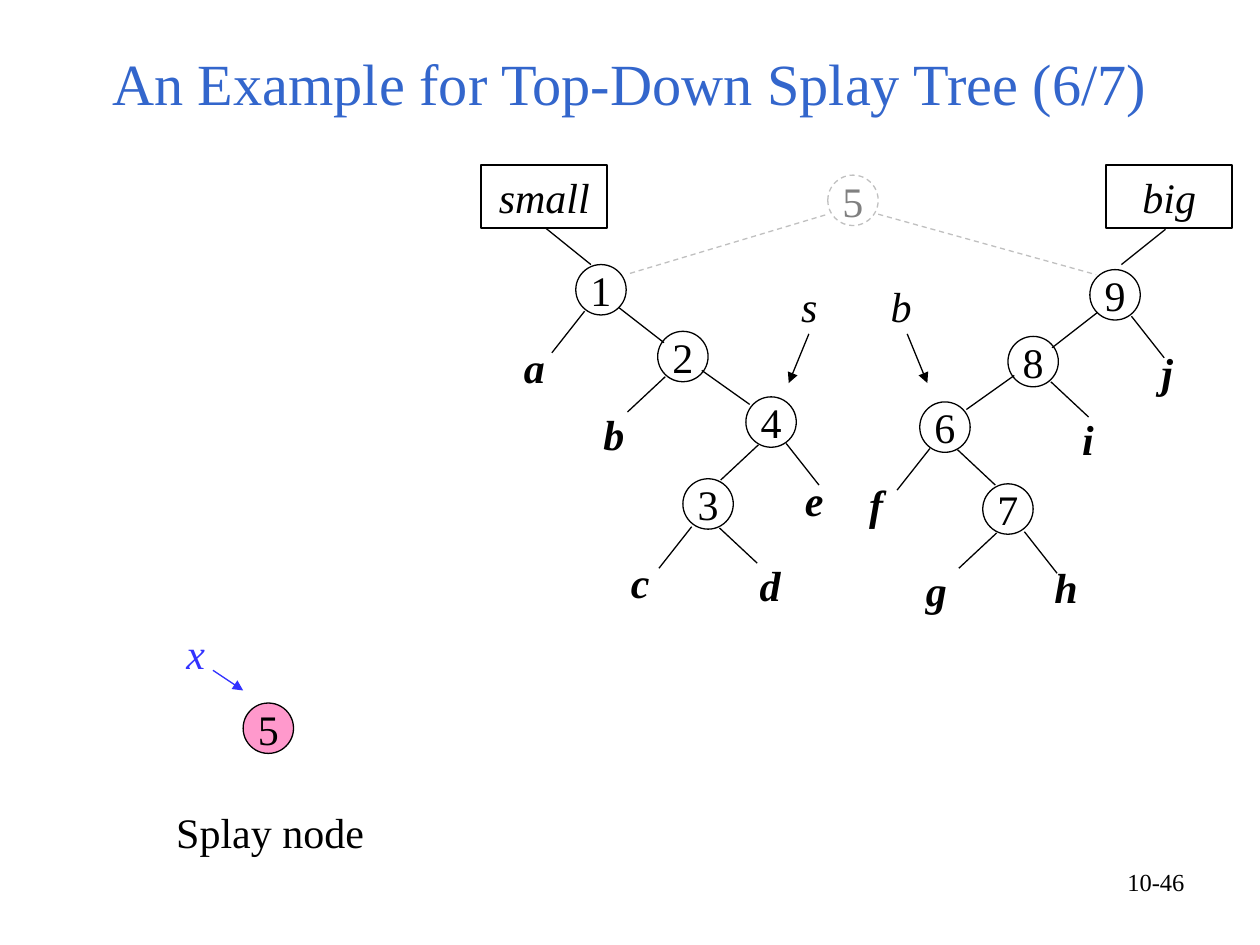
from dataclasses import dataclass

from lxml.etree import SubElement
from pptx import Presentation
from pptx.dml.color import RGBColor
from pptx.enum.dml import MSO_LINE
from pptx.enum.shapes import MSO_CONNECTOR, MSO_SHAPE
from pptx.enum.text import MSO_ANCHOR, PP_ALIGN
from pptx.oxml.ns import qn
from pptx.util import Inches, Pt


@dataclass(frozen=True)
class Theme:
    """Colours, font, type sizes and line widths in points."""
    font: str = "Times New Roman"
    ink: str = "000000"
    paper: str = "FFFFFF"
    title: str = "3366CC"
    pointer: str = "3333FF"
    splay: str = "FF99CC"
    faded_line: str = "C0C0C0"
    faded_text: str = "808080"
    title_size: float = 33.3
    body_size: float = 24
    footer_size: float = 14
    thin: float = 0.74
    frame: float = 0.99


THEME = Theme()
NODE_SIZE = 0.4
LABEL_SIZE = (0.44, 0.5)

TITLE = ("An Example for Top-Down Splay Tree (6/7)", 0.5, 0.3, 9, 0.77)
PAGE_NUMBER = ("10-46", 7.17, 6.83, 2.33, 0.52)

# The big tree is the small tree reflected about a vertical axis, a little lower.
MIRROR_SUM, MIRROR_DROP = 13.62, 0.04

# Key in small tree, key in big tree, centre in small tree
NODES = [
    ("1", "9", 4.77, 2.3),
    ("2", "8", 5.42, 2.83),
    ("4", "6", 6.12, 3.35),
    ("3", "7", 5.62, 4),
]
# Subtree in small tree, subtree in big tree, label centre in small tree
SUBTREES = [
    ("a", "j", 4.28, 2.91),
    ("b", "i", 4.91, 3.44),
    ("c", "h", 5.13, 4.62),
    ("d", "g", 6.15, 4.64),
]
INNER_SUBTREES = [("e", 6.51, 3.97), ("f", 7.02, 4)]
# Start and end in small tree
EDGES = [
    (4.91, 2.44, 5.27, 2.72),
    (5.57, 2.94, 5.95, 3.21),
    (4.64, 2.47, 4.38, 2.8),
    (5.28, 2.99, 4.98, 3.27),
    (6.02, 3.53, 5.72, 3.81),
    (6.24, 3.52, 6.5, 3.85),
    (5.71, 4.19, 6.01, 4.47),
    (5.49, 4.18, 5.23, 4.51),
]
# Name, left of frame, line down to the root
TREE_FRAMES = [
    ("small", 3.82, (4.33, 1.81, 4.69, 2.1)),
    ("big", 8.78, (9.25, 1.82, 8.9, 2.1)),
]
# Name, text box, arrow, colour
POINTERS = [
    ("s", (6.26, 2.18, 0.31, 0.5), (6.42, 2.65, 6.26, 3.04), THEME.ink),
    ("b", (6.97, 2.18, 0.39, 0.5), (7.2, 2.65, 7.36, 3.04), THEME.ink),
    ("x", (1.38, 4.93, 0.39, 0.5), (1.69, 5.32, 1.93, 5.48), THEME.pointer),
]
SPLAY_NODE = ("5", 2.13, 5.78)
SPLAY_CAPTION = ("Splay node", 1.3, 6.35, 1.81, 0.5)
FORMER_ROOT = ("5", 6.77, 1.59)
FORMER_EDGES = [(5, 2.17, 6.57, 1.7), (6.97, 1.7, 8.7, 2.18)]


def mirror(x, y):
    """Map a point of the small tree to the big tree."""
    return MIRROR_SUM - x, y + MIRROR_DROP


def write(shape, text, size=THEME.body_size, color=THEME.ink, align=PP_ALIGN.LEFT,
          anchor=MSO_ANCHOR.TOP, wrap=True, bold=False, italic=False):
    """Fill a shape with one styled paragraph and return it."""
    frame = shape.text_frame
    frame.word_wrap = wrap
    frame.vertical_anchor = anchor
    paragraph = frame.paragraphs[0]
    paragraph.text = text
    paragraph.alignment = align
    font = paragraph.font
    font.name, font.size = THEME.font, Pt(size)
    font.bold, font.italic = bold, italic
    font.color.rgb = RGBColor.from_string(color)
    return paragraph


def add_text(shapes, text, left, top, width, height, **style):
    """Add a text box."""
    box = shapes.add_textbox(*map(Inches, (left, top, width, height)))
    return write(box, text, **style)


def add_label(shapes, text, x, y):
    """Add a bold italic subtree label centred on a point."""
    width, height = LABEL_SIZE
    add_text(shapes, text, x - width / 2, y - height / 2, width, height,
             bold=True, italic=True)


def set_line(line, color, width, dashed):
    """Set the colour, width and dash of an outline."""
    line.color.rgb = RGBColor.from_string(color)
    line.width = Pt(width)
    if dashed:
        line.dash_style = MSO_LINE.DASH


def add_outlined(shapes, kind, box, text, fill=None, line=THEME.ink,
                 width=THEME.thin, dashed=False, **style):
    """Add an outlined shape with centred text."""
    shape = shapes.add_shape(kind, *map(Inches, box))
    shape.shadow.inherit = False
    if fill:
        shape.fill.solid()
        shape.fill.fore_color.rgb = RGBColor.from_string(fill)
    else:
        shape.fill.background()
    set_line(shape.line, line, width, dashed)
    write(shape, text, align=PP_ALIGN.CENTER, anchor=MSO_ANCHOR.MIDDLE,
          wrap=False, **style)


def add_node(shapes, key, x, y, **style):
    """Add a round tree node centred on a point."""
    box = (x - NODE_SIZE / 2, y - NODE_SIZE / 2, NODE_SIZE, NODE_SIZE)
    add_outlined(shapes, MSO_SHAPE.OVAL, box, key, **style)


def add_line(shapes, ends, color=THEME.ink, dashed=False, arrow=False):
    """Add a straight line, with an arrowhead at its end if asked."""
    connector = shapes.add_connector(MSO_CONNECTOR.STRAIGHT, *map(Inches, ends))
    set_line(connector.line, color, THEME.thin, dashed)
    if arrow:
        SubElement(connector.line._get_or_add_ln(), qn("a:tailEnd"), type="triangle")
    SubElement(connector._element.spPr, qn("a:effectLst"))


def build():
    """Build and save the slide."""
    presentation = Presentation()
    presentation.slide_width, presentation.slide_height = Inches(10), Inches(7.5)
    slide = presentation.slides.add_slide(presentation.slide_layouts[6])
    shapes = slide.shapes

    for name, left, root_line in TREE_FRAMES:
        add_outlined(shapes, MSO_SHAPE.RECTANGLE, (left, 1.31, 1, 0.5), name,
                     width=THEME.frame, italic=True)
        add_line(shapes, root_line)
    for x1, y1, x2, y2 in EDGES:
        add_line(shapes, (x1, y1, x2, y2))
        add_line(shapes, (*mirror(x1, y1), *mirror(x2, y2)))
    for add_part, parts in ((add_node, NODES), (add_label, SUBTREES)):
        for small, big, x, y in parts:
            add_part(shapes, small, x, y)
            add_part(shapes, big, *mirror(x, y))
    for label in INNER_SUBTREES:
        add_label(shapes, *label)

    for name, box, arrow, color in POINTERS:
        add_line(shapes, arrow, color, arrow=True)
        add_text(shapes, name, *box, color=color, italic=True)
    add_node(shapes, *SPLAY_NODE, fill=THEME.splay)
    add_text(shapes, *SPLAY_CAPTION)

    former = shapes.add_group_shape().shapes
    add_node(former, *FORMER_ROOT, fill=THEME.paper, line=THEME.faded_line,
             dashed=True, color=THEME.faded_text)
    for edge in FORMER_EDGES:
        add_line(former, edge, THEME.faded_line, dashed=True)

    title = add_text(shapes, *TITLE, size=THEME.title_size, color=THEME.title,
                     align=PP_ALIGN.CENTER, anchor=MSO_ANCHOR.MIDDLE)
    title.line_spacing = 0.9
    add_text(shapes, *PAGE_NUMBER, size=THEME.footer_size, align=PP_ALIGN.RIGHT)
    presentation.save("out.pptx")


build()
